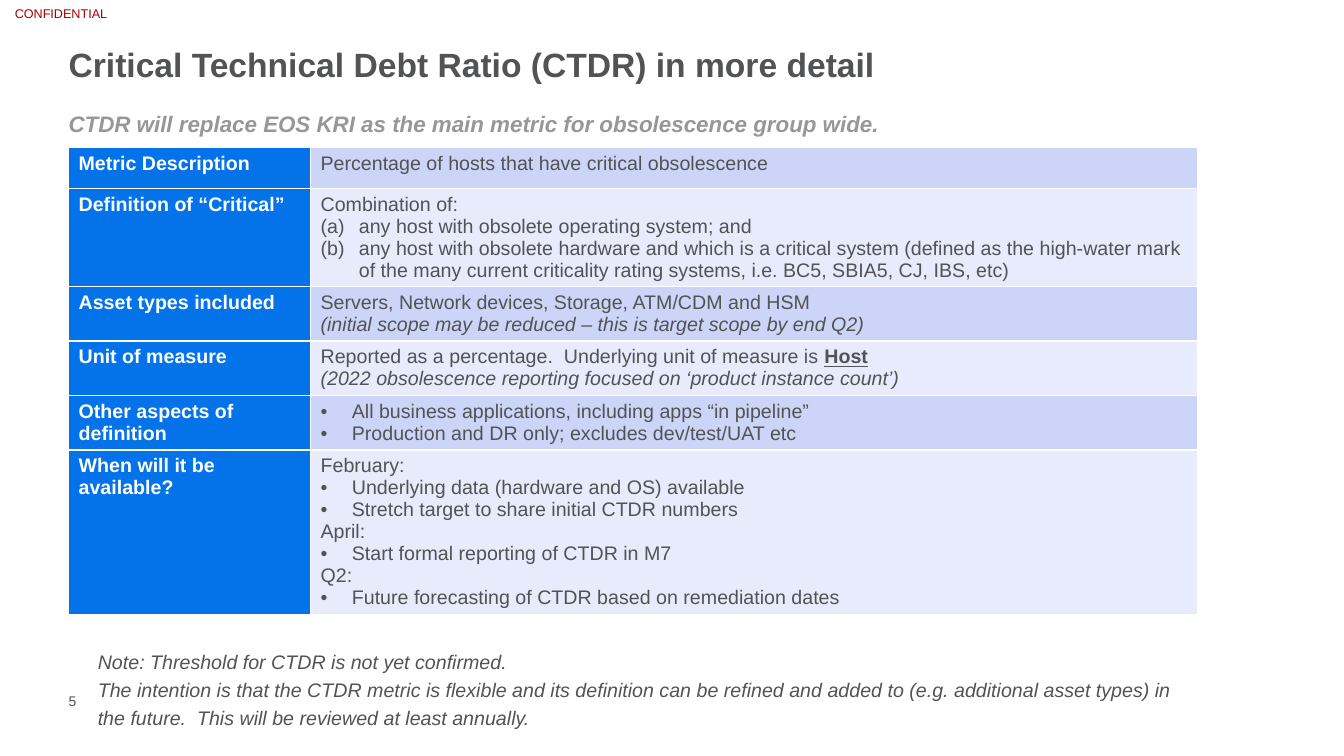
import pptx
import pptx.util
import pptx.dml.color
import pptx.enum.text
import pptx.oxml.ns
import lxml.etree

Inches = pptx.util.Inches
Pt = pptx.util.Pt
Align = pptx.enum.text.PP_ALIGN
Anchor = pptx.enum.text.MSO_ANCHOR

HUES = {
    "text": "525355", "muted": "96979A", "alert": "A80000", "white": "FFFFFF",
    "head": "0473EA", "odd": "CCD5F7", "even": "E7EBFB",
}
INDENT = {"a": 0.38, "•": 0.31}
HEIGHTS = [0.41, 0.97, 0.54, 0.54, 0.54, 1.63]


def plain(*lines):
    return [("", [(line, {})]) for line in lines]


def marked(mark, *lines):
    return [(mark, [(line, {})]) for line in lines]


def slanted(line):
    return [("", [(line, {"italic": True})])]


ROWS = [
    ("Metric Description", plain("Percentage of hosts that have critical obsolescence")),
    ("Definition of “Critical”", plain("Combination of:") + marked(
        "a",
        "any host with obsolete operating system; and",
        "any host with obsolete hardware and which is a critical system "
        "(defined as the high-water mark of the many current criticality "
        "rating systems, i.e. BC5, SBIA5, CJ, IBS, etc)")),
    ("Asset types included",
     plain("Servers, Network devices, Storage, ATM/CDM and HSM")
     + slanted("(initial scope may be reduced – this is target scope by end Q2)")),
    ("Unit of measure",
     [("", [("Reported as a percentage.  Underlying unit of measure is ", {}),
            ("Host", {"bold": True, "under": True})])]
     + slanted("(2022 obsolescence reporting focused on ‘product instance count’)")),
    ("Other aspects of definition", marked(
        "•",
        "All business applications, including apps “in pipeline”",
        "Production and DR only; excludes dev/test/UAT etc")),
    ("When will it be available?",
     plain("February:")
     + marked("•", "Underlying data (hardware and OS) available",
              "Stretch target to share initial CTDR numbers")
     + plain("April:")
     + marked("•", "Start formal reporting of CTDR in M7")
     + plain("Q2:")
     + marked("•", "Future forecasting of CTDR based on remediation dates")),
]


def color(name):
    return pptx.dml.color.RGBColor.from_string(HUES[name])


def node(parent, tag, **attrs):
    return lxml.etree.SubElement(parent, pptx.oxml.ns.qn(tag), attrs)


def text(para, words, size=14, hue="text", bold=False, italic=False, under=False):
    run = para.add_run()
    run.text = words
    font = run.font
    font.name = "Arial"
    font.size = Pt(size)
    font.bold, font.italic, font.underline = bold, italic, under
    font.color.rgb = color(hue)


class Deck:
    def __init__(self):
        self.file = pptx.Presentation()
        self.file.slide_width = Inches(13.33)
        self.file.slide_height = Inches(7.5)
        self.slide = self.file.slides.add_slide(self.file.slide_layouts[1])

    def fill(self, frame, lines, space, align=Align.LEFT, anchor=Anchor.TOP, **form):
        frame.word_wrap = True
        frame.auto_size = pptx.enum.text.MSO_AUTO_SIZE.NONE
        frame.vertical_anchor = anchor
        frame.margin_left = frame.margin_right = 0
        frame.margin_top = frame.margin_bottom = 0
        for row, line in enumerate(lines):
            para = frame.add_paragraph() if row else frame.paragraphs[0]
            para.alignment = align
            para.line_spacing = space
            para.space_before = Pt(0)
            text(para, line, **form)

    def holder(self, index, box, line, space, **form):
        shape = self.slide.placeholders[index]
        shape.left, shape.top, shape.width, shape.height = map(Inches, box)
        self.fill(shape.text_frame, [line], space, **form)
        props = shape.text_frame.paragraphs[0]._p.get_or_add_pPr()
        props.set("marL", "0")
        props.set("indent", "0")
        node(props, "a:buNone")

    def label(self, box, lines, space=1.0, **form):
        shape = self.slide.shapes.add_textbox(*map(Inches, box))
        self.fill(shape.text_frame, lines, space, **form)

    def cell(self, cell, lines, shade, **form):
        for row, (mark, runs) in enumerate(lines):
            frame = cell.text_frame
            para = frame.add_paragraph() if row else frame.paragraphs[0]
            for words, extra in runs:
                text(para, words, **form, **extra)
            if mark:
                self.bullet(para, mark)
        props = cell._tc.get_or_add_tcPr()
        for side in "LRTB":
            edge = node(props, "a:ln" + side, w=str(Pt(1)))
            node(node(edge, "a:solidFill"), "a:srgbClr", val=HUES["white"])
        cell.fill.solid()
        cell.fill.fore_color.rgb = color(shade)

    def bullet(self, para, mark):
        props = para._p.get_or_add_pPr()
        gap = Inches(INDENT[mark])
        props.set("marL", str(gap))
        props.set("indent", str(-gap))
        node(props, "a:buFont", typeface="Arial")
        if mark == "a":
            node(props, "a:buAutoNum", type="alphaLcParenBoth")
        else:
            node(props, "a:buChar", char=mark)

    def table(self, left, top, widths, heights, rows):
        box = (left, top, sum(widths), sum(heights))
        grid = self.slide.shapes.add_table(
            len(rows), len(widths), *map(Inches, box)).table
        grid.first_row = grid.horz_banding = False
        for column, width in zip(grid.columns, widths):
            column.width = Inches(width)
        for index, (head, lines) in enumerate(rows):
            grid.rows[index].height = Inches(heights[index])
            self.cell(grid.cell(index, 0), plain(head), "head", hue="white", bold=True)
            self.cell(grid.cell(index, 1), lines, "even" if index % 2 else "odd")


def main():
    deck = Deck()
    deck.label((0, 0, 1.21, 0.26), ["CONFIDENTIAL"], align=Align.CENTER,
               anchor=Anchor.MIDDLE, size=9, hue="alert")
    deck.label((0.68, 6.84, 1.34, 0.17), ["5"], Pt(14), size=10)
    deck.holder(0, (0.68, 0.45, 10.94, 0.39),
                "Critical Technical Debt Ratio (CTDR) in more detail",
                Pt(28), size=24, bold=True)
    deck.holder(1, (0.68, 1.07, 11.88, 0.56),
                "CTDR will replace EOS KRI as the main metric for obsolescence group wide.",
                1.1, size=16, hue="muted", bold=True, italic=True)
    deck.table(0.68, 1.46, [2.4, 8.8], HEIGHTS, ROWS)
    deck.label((0.97, 6.4, 10.91, 0.88), [
        "Note: Threshold for CTDR is not yet confirmed.",
        "The intention is that the CTDR metric is flexible and its definition can be "
        "refined and added to (e.g. additional asset types) in the future.  "
        "This will be reviewed at least annually."], 1.2, italic=True)
    deck.file.save("out.pptx")


if __name__ == "__main__":
    main()
